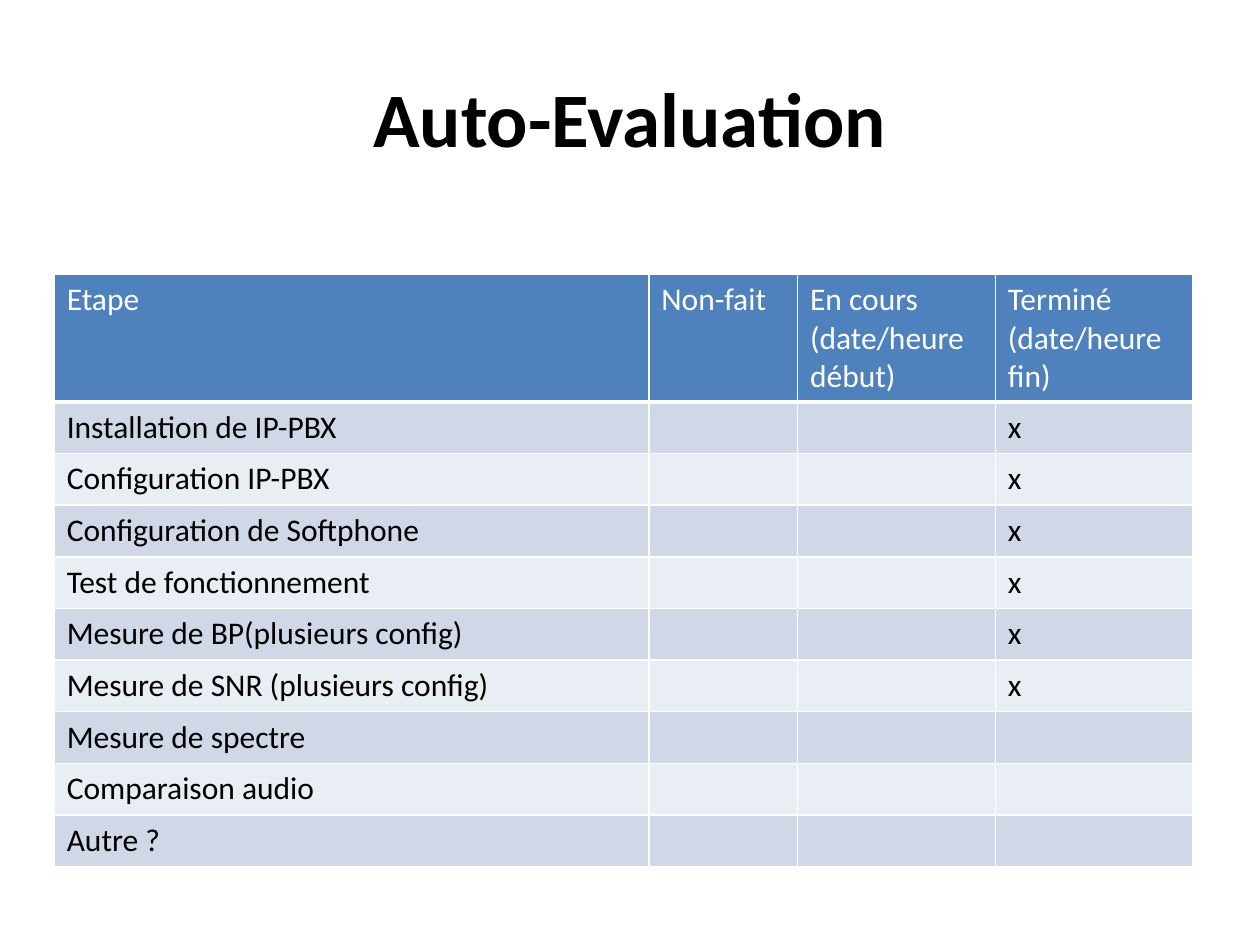
import lxml.etree
import pptx
import pptx.dml.color
import pptx.enum.text
import pptx.oxml.ns
import pptx.util

Inches = pptx.util.Inches
COLORS = {
    "header": "4F81BD",
    "odd": "D0D8E8",
    "even": "E9EDF4",
    "white": "FFFFFF",
    "black": "000000",
}
HEADERS = ["Etape", "Non-fait", "En cours\n(date/heure début)", "Terminé (date/heure fin)"]
FINISHED_STEPS = [
    "Installation de IP-PBX",
    "Configuration IP-PBX",
    "Configuration de Softphone",
    "Test de fonctionnement",
    "Mesure de BP(plusieurs config)",
    "Mesure de SNR (plusieurs config)",
]
OPEN_STEPS = ["Mesure de spectre", "Comparaison audio", "Autre ?"]


class SlideBuilder:
    font_name = "Calibri"

    def __init__(self, slide):
        self.slide = slide

    def color(self, name):
        return pptx.dml.color.RGBColor.from_string(COLORS[name])

    def set_text(self, text_frame, text, size, color, bold=False):
        text_frame.text = text
        for paragraph in text_frame.paragraphs:
            font = paragraph.font
            font.name = self.font_name
            font.size = pptx.util.Pt(size)
            font.bold = bold
            font.color.rgb = self.color(color)

    def title(self, text, left, top, width, height):
        shape = self.slide.shapes.add_textbox(left, top, width, height)
        text_frame = shape.text_frame
        text_frame.word_wrap = True
        text_frame.vertical_anchor = pptx.enum.text.MSO_ANCHOR.MIDDLE
        self.set_text(text_frame, text, 44, "black", bold=True)
        text_frame.paragraphs[0].alignment = pptx.enum.text.PP_ALIGN.CENTER

    def borders(self, cell, widths):
        properties = cell._tc.get_or_add_tcPr()
        qualified = pptx.oxml.ns.qn
        for side, width in zip("LRTB", widths):
            line = lxml.etree.SubElement(
                properties, qualified(f"a:ln{side}"), w=str(pptx.util.Pt(width))
            )
            fill = lxml.etree.SubElement(line, qualified("a:solidFill"))
            lxml.etree.SubElement(fill, qualified("a:srgbClr"), val=COLORS["white"])

    def table(self, rows, left, top, column_widths, row_heights):
        shape = self.slide.shapes.add_table(
            len(rows), len(column_widths), left, top, sum(column_widths), sum(row_heights)
        )
        table = shape.table
        for column, width in zip(table.columns, column_widths):
            column.width = width
        for row, height in zip(table.rows, row_heights):
            row.height = height
        for row_index, values in enumerate(rows):
            is_header = row_index == 0
            band = "header" if is_header else "odd" if row_index % 2 else "even"
            for column_index, value in enumerate(values):
                cell = table.cell(row_index, column_index)
                top_width = 3 if row_index == 1 else 1
                bottom_width = 3 if is_header else 1
                self.borders(cell, (1, 1, top_width, bottom_width))
                cell.fill.solid()
                cell.fill.fore_color.rgb = self.color(band)
                self.set_text(cell.text_frame, value, 18, "white" if is_header else "black")


def main():
    presentation = pptx.Presentation()
    presentation.slide_width = Inches(10)
    presentation.slide_height = Inches(7.5)
    builder = SlideBuilder(presentation.slides.add_slide(presentation.slide_layouts[6]))
    builder.title("Auto-Evaluation", Inches(0.5), Inches(0.3), Inches(9), Inches(1.25))
    rows = [HEADERS]
    rows += [[step, "", "", "x"] for step in FINISHED_STEPS]
    rows += [[step, "", "", ""] for step in OPEN_STEPS]
    column_widths = [Inches(width) for width in (4.72, 1.18, 1.57, 1.57)]
    row_heights = [Inches(1.01)] + [Inches(0.41)] * (len(rows) - 1)
    builder.table(rows, Inches(0.43), Inches(2.18), column_widths, row_heights)
    presentation.save("out.pptx")


if __name__ == "__main__":
    main()
